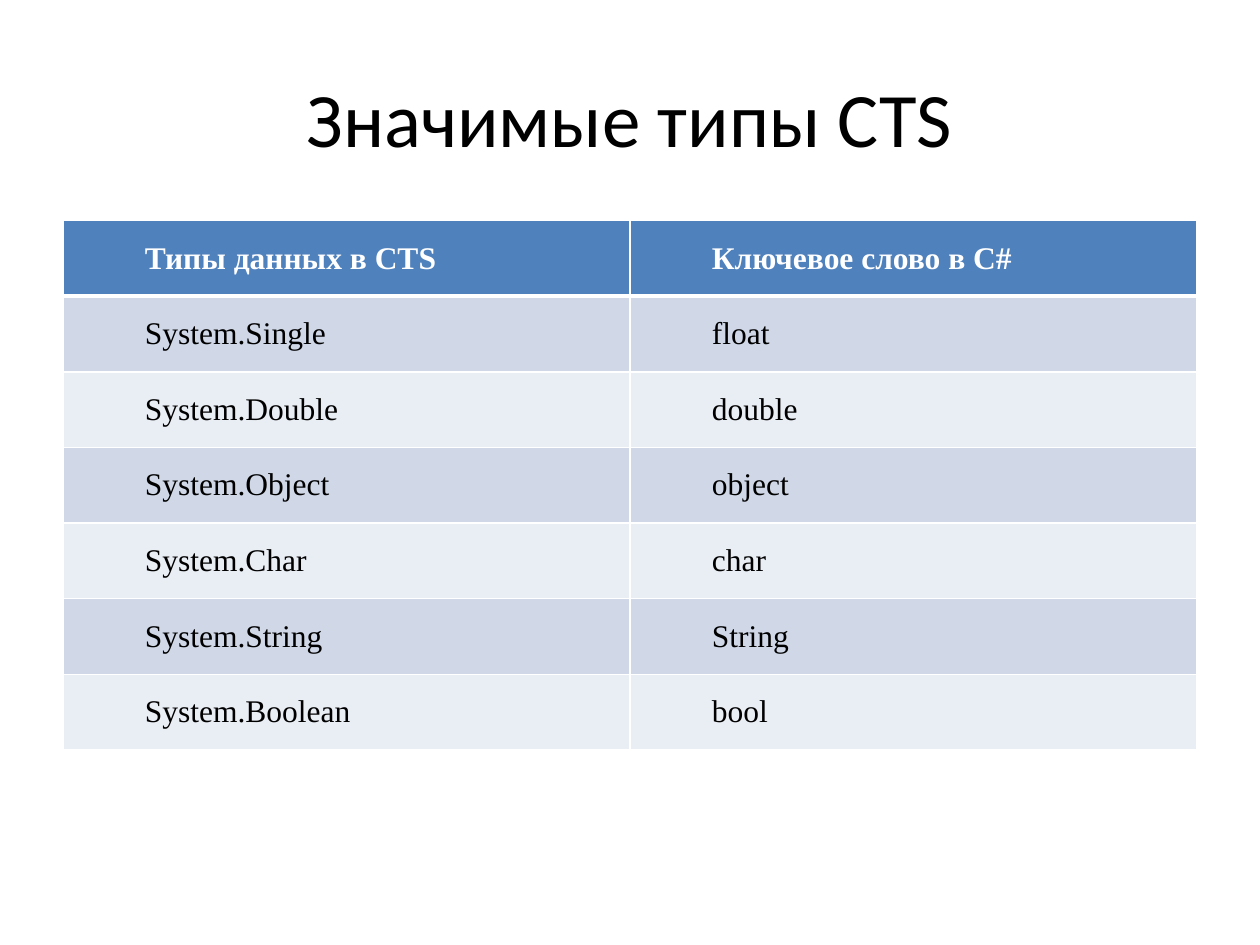
import pptx
import pptx.dml.color
import pptx.enum.text
import pptx.oxml.ns
import pptx.util
from lxml import etree

RGBColor = pptx.dml.color.RGBColor
Inches = pptx.util.Inches
Pt = pptx.util.Pt
Align = pptx.enum.text.PP_ALIGN
Anchor = pptx.enum.text.MSO_ANCHOR
qn = pptx.oxml.ns.qn

BLACK = RGBColor(0x00, 0x00, 0x00)
WHITE = RGBColor(0xFF, 0xFF, 0xFF)
HEADER_BLUE = RGBColor(0x4F, 0x81, 0xBD)
BAND_DARK = RGBColor(0xD0, 0xD8, 0xE8)
BAND_LIGHT = RGBColor(0xE9, 0xED, 0xF4)

WIDTH, HEIGHT = Inches(10), Inches(7.5)
COLUMNS, ROWS = 20, 150

TITLE = "Значимые типы CTS"
TYPES = [
    ("Типы данных в CTS", "Ключевое слово в C#"),
    ("System.Single", "float"),
    ("System.Double", "double"),
    ("System.Object", "object"),
    ("System.Char", "char"),
    ("System.String", "String"),
    ("System.Boolean", "bool"),
]


def apply(target, values):
    for name, value in values.items():
        setattr(target, name, value)


class SlideBuilder:
    title_font = {"name": "Calibri", "size": Pt(44), "bold": False}
    cell_font = {"name": "Times New Roman", "size": Pt(18)}
    title_frame = {"word_wrap": True, "vertical_anchor": Anchor.MIDDLE}
    cell_format = {
        "vertical_anchor": Anchor.MIDDLE,
        "margin_left": Inches(0.16),
        "margin_right": Inches(0.16),
        "margin_top": Inches(0.15),
        "margin_bottom": Inches(0.15),
    }
    cell_indent = Inches(0.49)
    thin, thick = Pt(1), Pt(3)

    def __init__(self, slide):
        self.slide = slide

    def area(self, column, row, columns, rows):
        return (
            round(WIDTH * column / COLUMNS),
            round(HEIGHT * row / ROWS),
            round(WIDTH * columns / COLUMNS),
            round(HEIGHT * rows / ROWS),
        )

    def label(self, paragraph, text, alignment, font, color):
        paragraph.text = text
        paragraph.alignment = alignment
        apply(paragraph.font, font)
        paragraph.font.color.rgb = color

    def title(self, text, *place):
        frame = self.slide.shapes.add_textbox(*self.area(*place)).text_frame
        apply(frame, self.title_frame)
        self.label(frame.paragraphs[0], text, Align.CENTER, self.title_font, BLACK)

    def borders(self, cell, row):
        properties = cell._tc.get_or_add_tcPr()
        widths = {
            "a:lnL": self.thin,
            "a:lnR": self.thin,
            "a:lnT": self.thick if row == 1 else self.thin,
            "a:lnB": self.thick if row == 0 else self.thin,
        }
        for tag, width in widths.items():
            line = etree.SubElement(properties, qn(tag), w=str(width))
            fill = etree.SubElement(line, qn("a:solidFill"))
            etree.SubElement(fill, qn("a:srgbClr"), val=str(WHITE))

    def cell(self, cell, row, text):
        header = row == 0
        apply(cell, self.cell_format)
        self.borders(cell, row)
        cell.fill.solid()
        band = BAND_DARK if row % 2 else BAND_LIGHT
        cell.fill.fore_color.rgb = HEADER_BLUE if header else band
        paragraph = cell.text_frame.paragraphs[0]
        paragraph._p.get_or_add_pPr().set("marL", str(self.cell_indent))
        font = {**self.cell_font, "bold": header}
        self.label(paragraph, text, Align.JUSTIFY, font, WHITE if header else BLACK)

    def table(self, records, column, row, columns, row_height):
        place = self.area(column, row, columns, row_height * len(records))
        shape = self.slide.shapes.add_table(len(records), len(records[0]), *place)
        for row_index, record in enumerate(records):
            for column_index, text in enumerate(record):
                self.cell(shape.table.cell(row_index, column_index), row_index, text)


def main():
    presentation = pptx.Presentation()
    apply(presentation, {"slide_width": WIDTH, "slide_height": HEIGHT})
    slide = presentation.slides.add_slide(presentation.slide_layouts[6])
    builder = SlideBuilder(slide)
    builder.title(TITLE, 1, 6, 18, 25)
    builder.table(TYPES, 1, 35, 18, 11.8)
    presentation.save("out.pptx")


if __name__ == "__main__":
    main()
